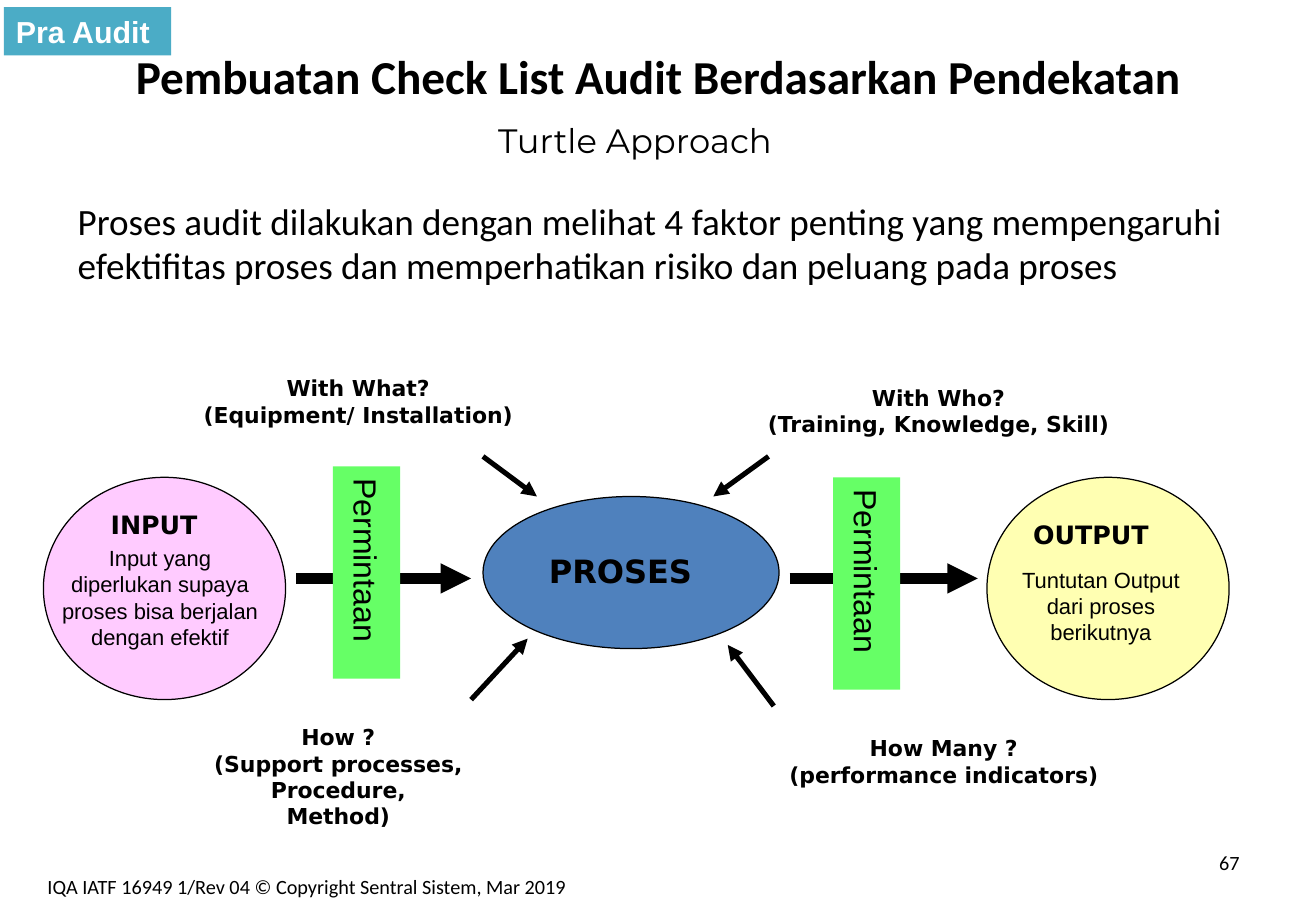
from dataclasses import dataclass

from lxml import etree
from pptx import Presentation
from pptx.dml.color import RGBColor
from pptx.enum.shapes import MSO_CONNECTOR, MSO_SHAPE
from pptx.enum.text import MSO_ANCHOR, MSO_AUTO_SIZE, PP_ALIGN
from pptx.oxml.ns import qn
from pptx.util import Inches, Pt

LEFT, CENTER, RIGHT = PP_ALIGN.LEFT, PP_ALIGN.CENTER, PP_ALIGN.RIGHT
TOP, MIDDLE = MSO_ANCHOR.TOP, MSO_ANCHOR.MIDDLE
OVAL, RECTANGLE = MSO_SHAPE.OVAL, MSO_SHAPE.RECTANGLE
STRAIGHT = MSO_CONNECTOR.STRAIGHT
NO_AUTOFIT = MSO_AUTO_SIZE.NONE
WIDTH, HEIGHT = Inches(10.83), Inches(7.5)


@dataclass(frozen=True)
class TextStyle:
    """Typeface, size, weight and colour of a kind of text."""

    font: str
    size: int
    bold: bool = False
    color: str = "000000"


@dataclass(frozen=True)
class Theme:
    """Colours and text styles of the slide."""

    black: str = "000000"
    input_fill: str = "FF99FF"
    output_fill: str = "FFFF66"
    process_fill: str = "4F81BD"
    demand_fill: str = "66FF66"
    tag_fill: str = "4BACC6"
    title: TextStyle = TextStyle("Calibri", 28, True)
    subtitle: TextStyle = TextStyle("Montserrat", 20)
    body: TextStyle = TextStyle("Calibri", 22)
    process: TextStyle = TextStyle("DejaVu Sans", 19, True)
    heading: TextStyle = TextStyle("DejaVu Sans", 15, True)
    question: TextStyle = TextStyle("DejaVu Sans", 13, True)
    detail: TextStyle = TextStyle("Arial", 13)
    demand: TextStyle = TextStyle("Arial", 19)
    tag: TextStyle = TextStyle("Arial", 18, True, "FFFFFF")
    footer: TextStyle = TextStyle("Calibri", 12)


THEME = Theme()


def across(percent):
    """Turn a percentage of the slide width into a length."""
    return round(WIDTH * percent / 100)


def down(percent):
    """Turn a percentage of the slide height into a length."""
    return round(HEIGHT * percent / 100)


def area(left, top, width, height):
    """Turn percentages of the slide into a position and size."""
    return across(left), down(top), across(width), down(height)


def write(shape, text, style, align=LEFT, anchor=TOP, wrap=True):
    """Write styled lines of text into a shape."""
    frame = shape.text_frame
    frame.text = text
    frame.word_wrap = wrap
    frame.auto_size = NO_AUTOFIT
    frame.vertical_anchor = anchor
    for paragraph in frame.paragraphs:
        paragraph.alignment = align
        paragraph.font.name = style.font
        paragraph.font.size = Pt(style.size)
        paragraph.font.bold = style.bold
        paragraph.font.color.rgb = RGBColor.from_string(style.color)


def add_title(slide, text, box):
    """Place and format the title placeholder."""
    title = slide.shapes.title
    title.left, title.top, title.width, title.height = area(*box)
    write(title, text, THEME.title, CENTER, MIDDLE)


def add_text(slide, text, box, style, align=LEFT, wrap=True):
    """Add a text box."""
    write(slide.shapes.add_textbox(*area(*box)), text, style, align, wrap=wrap)


def add_filled(slide, kind, box, fill):
    """Add a flat shape without an outline."""
    shape = slide.shapes.add_shape(kind, *area(*box))
    shape.shadow.inherit = False
    shape.fill.solid()
    shape.fill.fore_color.rgb = RGBColor.from_string(fill)
    shape.line.fill.background()
    return shape


def add_ellipse(slide, box, fill, opacity=100):
    """Add an outlined ellipse, translucent if asked."""
    ellipse = add_filled(slide, OVAL, box, fill)
    ellipse.line.color.rgb = RGBColor.from_string(THEME.black)
    ellipse.line.width = Pt(0.75)
    if opacity < 100:
        color = ellipse.fill._xPr.find(qn("a:solidFill"))[0]
        etree.SubElement(color, qn("a:alpha"), val=str(opacity * 1000))


def add_arrow(slide, start, end, weight):
    """Add a straight arrow between two points."""
    arrow = slide.shapes.add_connector(
        STRAIGHT, across(start[0]), down(start[1]), across(end[0]), down(end[1])
    )
    arrow.line.color.rgb = RGBColor.from_string(THEME.black)
    arrow.line.width = Pt(weight)
    etree.SubElement(arrow.line._get_or_add_ln(), qn("a:tailEnd"), type="triangle")
    etree.SubElement(arrow._element.spPr, qn("a:effectLst"))


def add_demand(slide, left, top):
    """Add an upright bar with vertical text."""
    bar = add_filled(slide, RECTANGLE, (left, top, 5.1, 23.3), THEME.demand_fill)
    write(bar, "Permintaan", THEME.demand, LEFT, MIDDLE)
    bar._element.txBody.bodyPr.set("vert", "eaVert")
    bar.text_frame.margin_top = bar.text_frame.margin_bottom = Inches(0.05)


def add_turtle(slide):
    """Add the process diagram with its four questions."""
    add_ellipse(slide, (3.3, 52.4, 18.4, 24.4), THEME.input_fill, 50)
    add_ellipse(slide, (75, 52.4, 18.4, 24.4), THEME.output_fill, 50)
    add_ellipse(slide, (36.7, 54.5, 22.5, 16.7), THEME.process_fill)

    for start, end, weight in (
        ((22.5, 63.5), (35.8, 63.5), 6),
        ((60, 63.5), (74.3, 63.5), 6),
        ((36.7, 50.1), (40.8, 54.5), 3),
        ((58.4, 50.1), (54.2, 54.5), 3),
        ((35.8, 76.8), (40.1, 70.1), 3),
        ((58.8, 77.5), (55.3, 70.8), 3),
    ):
        add_arrow(slide, start, end, weight)

    add_demand(slide, 25.3, 51.2)
    add_demand(slide, 63.3, 52.4)

    for text, box, style in (
        ("PROSES", (40.8, 59.9, 12.7, 5.5), THEME.process),
        ("INPUT", (7.5, 55.2, 8.8, 4.5), THEME.heading),
        ("OUTPUT", (77.6, 56.3, 10.5, 4.5), THEME.heading),
    ):
        add_text(slide, text, box, style, wrap=False)

    for text, box in (
        ("With What?\n(Equipment/ Installation)", (14.1, 40.5, 26.2, 7.1)),
        ("With Who?\n(Training, Knowledge, Skill)", (57.2, 41.5, 28.2, 7.1)),
        ("How ?\n(Support processes,\nProcedure,\nMethod)", (15.1, 78.8, 21.2, 12.8)),
        ("How Many ?\n(performance indicators)", (59, 80, 25.4, 7.1)),
    ):
        add_text(slide, text, box, THEME.question, CENTER, wrap=False)

    for text, box in (
        ("Input yang diperlukan supaya proses bisa berjalan dengan efektif",
         (3.8, 59.1, 16.7, 15.9)),
        ("Tuntutan Output dari proses berikutnya", (75.3, 61.5, 16.7, 10)),
    ):
        add_text(slide, text, box, THEME.detail, CENTER)


def main():
    """Build the slide and save it."""
    presentation = Presentation()
    presentation.slide_width, presentation.slide_height = WIDTH, HEIGHT
    slide = presentation.slides.add_slide(presentation.slide_layouts[5])

    add_title(slide, "Pembuatan Check List Audit Berdasarkan Pendekatan", (5, 0, 90, 16.7))
    add_text(slide, "Turtle Approach", (35.8, 12.5, 24.9, 5.3), THEME.subtitle, CENTER, False)
    add_text(slide, "Proses audit dilakukan dengan melihat 4 faktor penting yang mempengaruhi "
             "efektifitas proses dan memperhatikan risiko dan peluang pada proses",
             (5, 21.1, 90, 12), THEME.body)
    add_turtle(slide)

    tag = add_filled(slide, RECTANGLE, (0.3, 0.8, 12.7, 5.3), THEME.tag_fill)
    write(tag, "Pra Audit", THEME.tag, LEFT, MIDDLE, False)
    add_text(slide, "67", (71.7, 92.7, 23.4, 5.3), THEME.footer, RIGHT)
    add_text(slide, "IQA IATF 16949 1/Rev 04 © Copyright Sentral Sistem, Mar 2019",
             (2.7, 95.3, 55.3, 4.7), THEME.footer)
    presentation.save("out.pptx")


if __name__ == "__main__":
    main()
